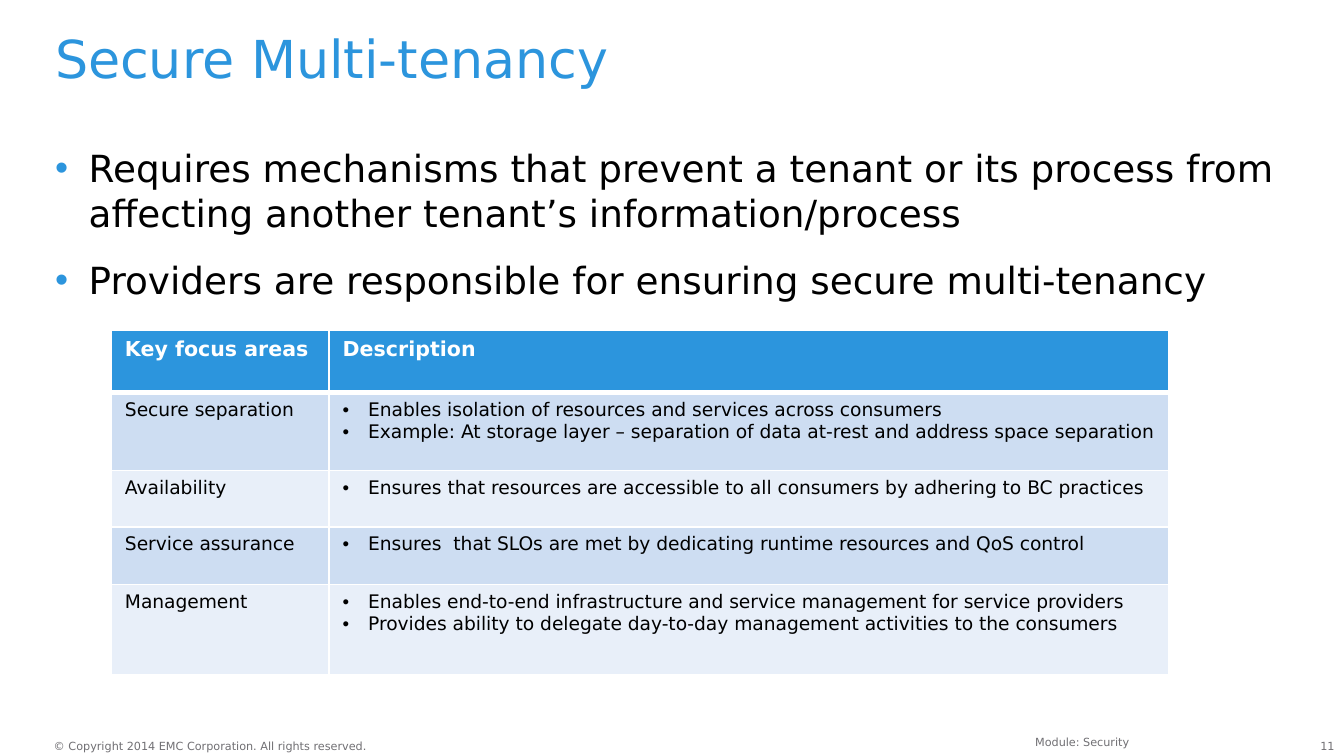
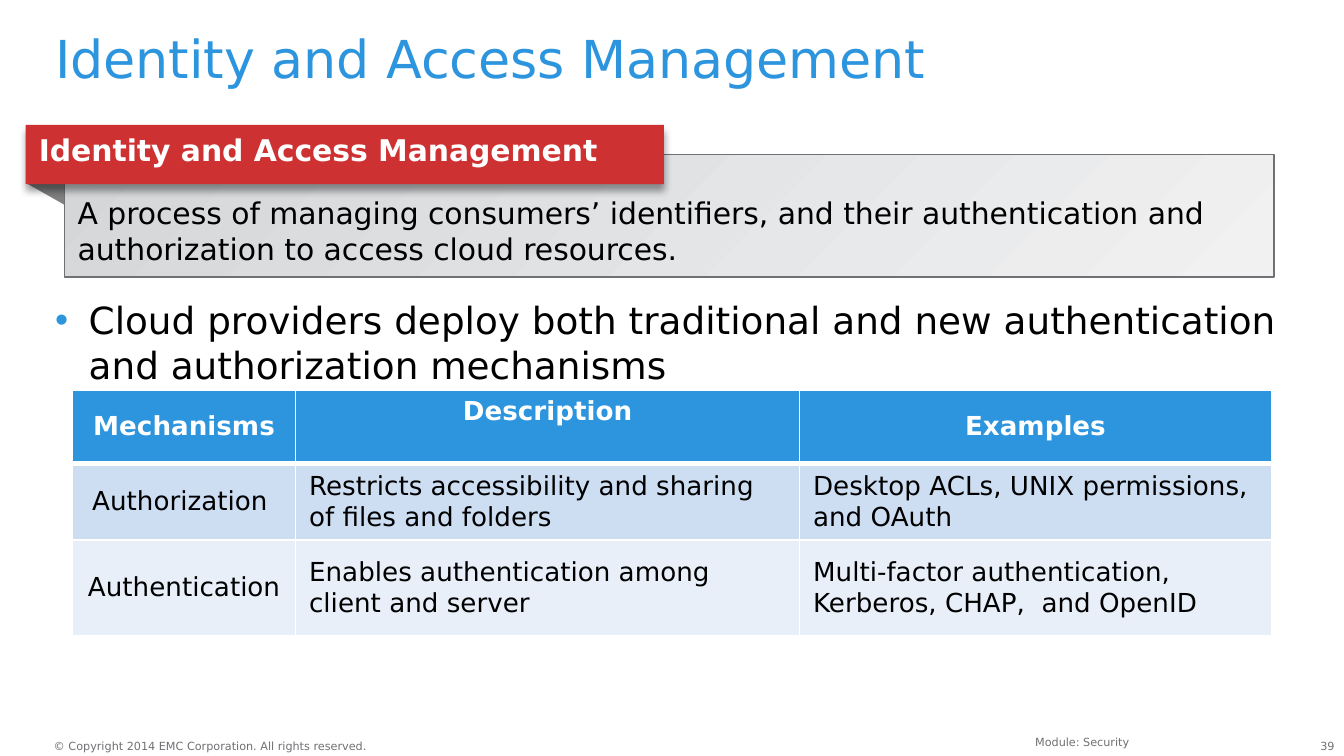
from lxml import etree
from pptx import Presentation
from pptx.dml.color import RGBColor
from pptx.enum.shapes import MSO_SHAPE
from pptx.enum.text import MSO_ANCHOR, PP_ALIGN
from pptx.oxml.ns import qn
from pptx.util import Inches, Pt

RECT = MSO_SHAPE.RECTANGLE
TOP, MIDDLE = MSO_ANCHOR.TOP, MSO_ANCHOR.MIDDLE
LEFT, CENTER, RIGHT = PP_ALIGN.LEFT, PP_ALIGN.CENTER, PP_ALIGN.RIGHT

BLUE = RGBColor(0x2C, 0x95, 0xDD)
RED = RGBColor(0xCE, 0x31, 0x31)
GRAY = RGBColor(0x71, 0x70, 0x74)
FOLD = RGBColor(0x80, 0x80, 0x80)
PALE = RGBColor(0xD4, 0xD6, 0xD8)
MIST = RGBColor(0xF1, 0xF1, 0xF2)
BLACK = RGBColor(0, 0, 0)
WHITE = RGBColor(0xFF, 0xFF, 0xFF)
BANDS = [RGBColor(0xCD, 0xDD, 0xF2), RGBColor(0xE8, 0xEF, 0xF9)]

FONT = "DejaVu Sans"
COPY = "© Copyright 2014 EMC Corporation. All rights reserved."
NONE = (0, 0, 0, 0)
PAD = (0.1, 0.05, 0.1, 0.05)


def write(frame, text, size, color, bold=False, align=LEFT, pad=PAD,
          anchor=TOP, indent=0, dot=None, gap=0, lead=None):
    """Fill a text frame or cell, one paragraph a line; indent adds bullets."""
    sides = ("margin_left", "margin_top", "margin_right", "margin_bottom")
    for side, inset in zip(sides, pad):
        setattr(frame, side, Inches(inset))
    frame.vertical_anchor = anchor
    body = getattr(frame, "text_frame", frame)
    if body is frame:
        frame.word_wrap = True
    body.text = text
    for i, para in enumerate(body.paragraphs):
        if indent:
            props = para._p.get_or_add_pPr()
            props.set("marL", str(Inches(indent)))
            props.set("indent", str(-Inches(indent)))
            if dot:
                tint = etree.SubElement(props, qn("a:buClr"))
                etree.SubElement(tint, qn("a:srgbClr"), val=str(dot))
            etree.SubElement(props, qn("a:buFont"), typeface="Arial")
            etree.SubElement(props, qn("a:buChar"), char="•")
        para.alignment = align
        if lead:
            para.line_spacing = lead
        if gap and i:
            para.space_before = Pt(gap)
        font = para.runs[0].font
        look = {"name": FONT, "size": Pt(size), "bold": bold}
        for key, val in look.items():
            setattr(font, key, val)
        font.color.rgb = color


def grid(slide, left, top, cols, rows, cells, formats):
    """Add a table; formats gives the head and body format of each column."""
    frame = slide.shapes.add_table(len(rows), len(cols), Inches(left), Inches(top),
                                   Inches(sum(cols)), Inches(sum(rows)))
    table = frame.table
    for col, width in zip(table.columns, cols):
        col.width = Inches(width)
    for r, height in enumerate(rows):
        table.rows[r].height = Inches(height)
        for c, text in enumerate(cells[r]):
            cell = table.cell(r, c)
            props = cell._tc.get_or_add_tcPr()
            for side in "LRTB":
                thick = (r, side) in ((0, "B"), (1, "T"))
                line = etree.SubElement(props, qn("a:ln" + side),
                                        w=str(Pt(3 if thick else 1)))
                fill = etree.SubElement(line, qn("a:solidFill"))
                etree.SubElement(fill, qn("a:srgbClr"), val=str(WHITE))
            cell.fill.solid()
            cell.fill.fore_color.rgb = BANDS[(r - 1) % 2] if r else BLUE
            write(cell, text, **formats[c][min(r, 1)])


deck = Presentation()
deck.slide_width = Inches(10)
deck.slide_height = deck.slide_width * 9 // 16

small = {"size": 6, "color": GRAY}
points = {"size": 20, "color": BLACK, "pad": NONE, "indent": 0.25,
          "dot": BLUE, "gap": 12}
pages = [
    ("Secure Multi-tenancy", "11", 1.08, 3.75,
     "Requires mechanisms that prevent a tenant or its process from affecting "
     "another tenant’s information/process\n"
     "Providers are responsible for ensuring secure multi-tenancy"),
    ("Identity and Access Management", "39", 2.21, 2.69,
     "Cloud providers deploy both traditional and new authentication "
     "and authorization mechanisms"),
]
slides = []
for title, number, top, height, text in pages:
    slide = deck.slides.add_slide(deck.slide_layouts[6])
    slides.append(slide)
    boxes = [
        (9.62, 5.5, 0.31, 0.1, number, {**small, "align": RIGHT, "pad": NONE}),
        (0.4, 5.5, 2.37, 0.1, COPY, {**small, "pad": NONE}),
        (0.41, 0.25, 9.25, 0.5, title,
         {"size": 28, "color": BLUE, "pad": NONE, "lead": 0.9}),
        (0.41, top, 9.25, height, text, points),
        (2.83, 5.42, 5.67, 0.15, "Module: Security", {**small, "align": RIGHT}),
    ]
    for *place, words, fmt in boxes:
        box = slide.shapes.add_textbox(*map(Inches, place))
        write(box.text_frame, words, **fmt)

tenant, access = slides

# Focus areas of multi-tenancy
head = {"size": 11, "color": WHITE, "bold": True}
body = {"size": 10, "color": BLACK}
areas = [
    ("Key focus areas", "Description"),
    ("Secure separation",
     "Enables isolation of resources and services across consumers\n"
     "Example: At storage layer – separation of data at-rest and address space separation"),
    ("Availability",
     "Ensures that resources are accessible to all consumers by adhering to BC practices"),
    ("Service assurance",
     "Ensures  that SLOs are met by dedicating runtime resources and QoS control"),
    ("Management",
     "Enables end-to-end infrastructure and service management for service providers\n"
     "Provides ability to delegate day-to-day management activities to the consumers"),
]
grid(tenant, 0.83, 2.46, [1.62, 6.25], [0.46, 0.58, 0.42, 0.43, 0.67], areas,
     [(head, body), (head, {**body, "indent": 0.19})])

# Definition panel with a folded ribbon
draw = access.shapes.build_freeform(Inches(0.19), Inches(1.36))
draw.add_line_segments([(Inches(0.49), Inches(1.36)), (Inches(0.49), Inches(1.53))])
fold = draw.convert_to_shape()
panel = access.shapes.add_shape(RECT, *map(Inches, (0.48, 1.15, 9, 0.91)))
ribbon = access.shapes.add_shape(RECT, *map(Inches, (0.19, 0.93, 4.75, 0.44)))
for shape, color in ((fold, FOLD), (ribbon, RED)):
    shape.fill.solid()
    shape.fill.fore_color.rgb = color
    shape.line.fill.background()
panel.fill.gradient()
panel.fill.gradient_angle = 315
for stop, color in zip(panel.fill.gradient_stops, (PALE, MIST)):
    stop.color.rgb = color
panel.line.color.rgb = GRAY
panel.line.width = Pt(1)
for shape in (fold, panel, ribbon):
    shape.shadow.inherit = False
glow = ribbon._element.spPr.find(qn("a:effectLst"))
cast = etree.SubElement(glow, qn("a:outerShdw"), blurRad=str(Pt(4)),
                        dist=str(Pt(3)), dir="5400000", rotWithShape="0")
tint = etree.SubElement(cast, qn("a:srgbClr"), val=str(BLACK))
etree.SubElement(tint, qn("a:alpha"), val="40000")
write(panel.text_frame,
      "A process of managing consumers’ identifiers, and their authentication "
      "and authorization to access cloud resources.",
      16, BLACK, pad=(0.1, 0.3, 0.1, 0.05))
write(ribbon.text_frame, "Identity and Access Management", 16, WHITE, bold=True)

# Mechanisms of access management
head = {"size": 14, "color": WHITE, "bold": True, "align": CENTER, "anchor": MIDDLE}
body = {"size": 14, "color": BLACK, "anchor": MIDDLE}
means = [
    ("Mechanisms", "Description", "Examples"),
    ("Authorization ", "Restricts accessibility and sharing of files and folders",
     "Desktop ACLs, UNIX permissions, and OAuth"),
    ("Authentication ", "Enables authentication among client and server",
     "Multi-factor authentication, Kerberos, CHAP,  and OpenID"),
]
grid(access, 0.54, 2.9, [1.66, 3.75, 3.51], [0.55, 0.56, 0.71], means,
     [(head, {**body, "align": CENTER}), ({**head, "anchor": TOP}, body), (head, body)])

deck.save("out.pptx")
